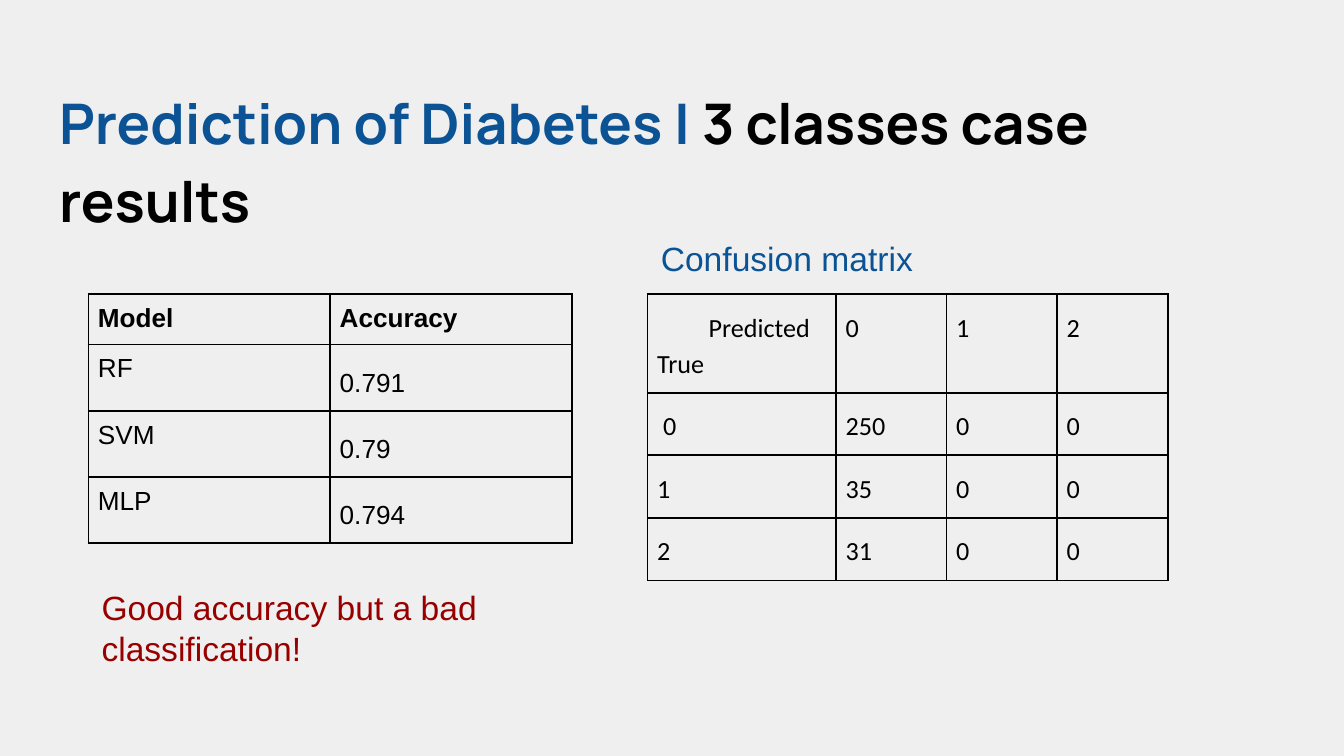
from lxml.etree import SubElement
from pptx import Presentation
from pptx.dml.color import RGBColor
from pptx.enum.text import PP_ALIGN
from pptx.oxml.ns import qn
from pptx.util import Cm, Pt

BLACK = RGBColor(0x00, 0x00, 0x00)
BLUE = RGBColor(0x0B, 0x53, 0x94)
RED = RGBColor(0x98, 0x00, 0x00)
GREY = RGBColor(0xEF, 0xEF, 0xEF)


class ResultsPage:
    inset = Cm(0.25)
    side_margin = Cm(0.18)
    border_width = Pt(1)

    def __init__(self, deck):
        self.page = deck.slides.add_slide(deck.slide_layouts[6])
        self.page.background.fill.solid()
        self.page.background.fill.fore_color.rgb = GREY

    def style(self, para, size, name, color=BLACK, bold=False):
        font = para.font
        font.size, font.name, font.bold = Pt(size), name, bold
        font.color.rgb = color

    def text_box(self, left, top, width, height):
        box = self.page.shapes.add_textbox(Cm(left), Cm(top), Cm(width), Cm(height))
        frame = box.text_frame
        frame.word_wrap = True
        frame.margin_left = frame.margin_right = self.inset
        frame.margin_top = frame.margin_bottom = self.inset
        return frame.paragraphs[0]

    def title(self, parts, place):
        para = self.text_box(*place)
        self.style(para, 30, "Manrope", bold=True)
        para.line_spacing = 1.15
        para.space_after = Pt(16)
        for text, color in parts:
            span = para.add_run()
            span.text = text
            span.font.color.rgb = color

    def label(self, text, color, place):
        para = self.text_box(*place)
        para.text = text
        self.style(para, 18, "Arial", color)

    def border(self, cell):
        properties = cell._tc.get_or_add_tcPr()
        for position, side in enumerate(("lnL", "lnR", "lnT", "lnB")):
            line = properties.makeelement(qn(f"a:{side}"), {"w": str(self.border_width)})
            properties.insert(position, line)
            fill = SubElement(line, qn("a:solidFill"))
            SubElement(fill, qn("a:srgbClr"), val=str(BLACK))

    def indent(self, para, length):
        para._p.get_or_add_pPr().set("marL", str(Cm(length)))

    def table(self, rows, left, top, widths, heights, name, margin):
        frame = self.page.shapes.add_table(
            len(rows), len(widths), Cm(left), Cm(top), Cm(sum(widths)), Cm(sum(heights)))
        table = frame.table
        table.first_row = table.horz_banding = False
        for column, width in zip(table.columns, widths):
            column.width = Cm(width)
        for row, height, texts in zip(table.rows, heights, rows):
            row.height = Cm(height)
            for cell, text in zip(row.cells, texts):
                cell.text = text
                cell.margin_left = cell.margin_right = self.side_margin
                cell.margin_top = cell.margin_bottom = Cm(margin)
                cell.fill.background()
                self.border(cell)
                for para in cell.text_frame.paragraphs:
                    self.style(para, 14, name)
        return table

    def accuracy_table(self, rows):
        table = self.table(rows, 1.67, 5.56, [4.57] * 2, [0.76] + [0.97] * 3, "Arial", 0.18)
        for cell in table.rows[0].cells:
            cell.fill.solid()
            cell.fill.fore_color.rgb = GREY
            cell.text_frame.paragraphs[0].font.bold = True
        for row in range(1, len(rows)):
            para = table.cell(row, 1).text_frame.paragraphs[0]
            para.alignment = PP_ALIGN.JUSTIFY
            para.line_spacing = 1.5

    def confusion_matrix(self, rows):
        table = self.table(
            rows, 12.24, 5.56, [3.56] + [2.09] * 3, [0.38] + [0.92] * 3, "Calibri", 0.25)
        for cell in table.iter_cells():
            for para in cell.text_frame.paragraphs:
                para.line_spacing = 1.15
        predicted = table.cell(0, 0).text_frame.paragraphs[0]
        predicted.alignment = PP_ALIGN.CENTER
        self.indent(predicted, 0.66)
        self.indent(table.cell(1, 0).text_frame.paragraphs[0], 0.11)


def main():
    deck = Presentation()
    deck.slide_width, deck.slide_height = Cm(25.4), Cm(14.29)
    results = ResultsPage(deck)
    results.title(
        [("Prediction of Diabetes |", BLUE), (" 3 classes case results", BLACK)],
        (0.87, 1.24, 23.67, 1.73))
    results.label("Good accuracy but a bad classification!", RED, (1.67, 10.85, 7.95, 1.6))
    results.accuracy_table([
        ("Model", "Accuracy"),
        ("RF", "0.791"),
        ("SVM", "0.79"),
        ("MLP", "0.794"),
    ])
    results.confusion_matrix([
        ("Predicted\nTrue", "0", "1", "2"),
        ("0", "250", "0", "0"),
        ("1", "35", "0", "0"),
        ("2", "31", "0", "0"),
    ])
    results.label("Confusion matrix", BLUE, (12.24, 4.24, 5.44, 1.09))
    deck.save("out.pptx")


if __name__ == "__main__":
    main()
